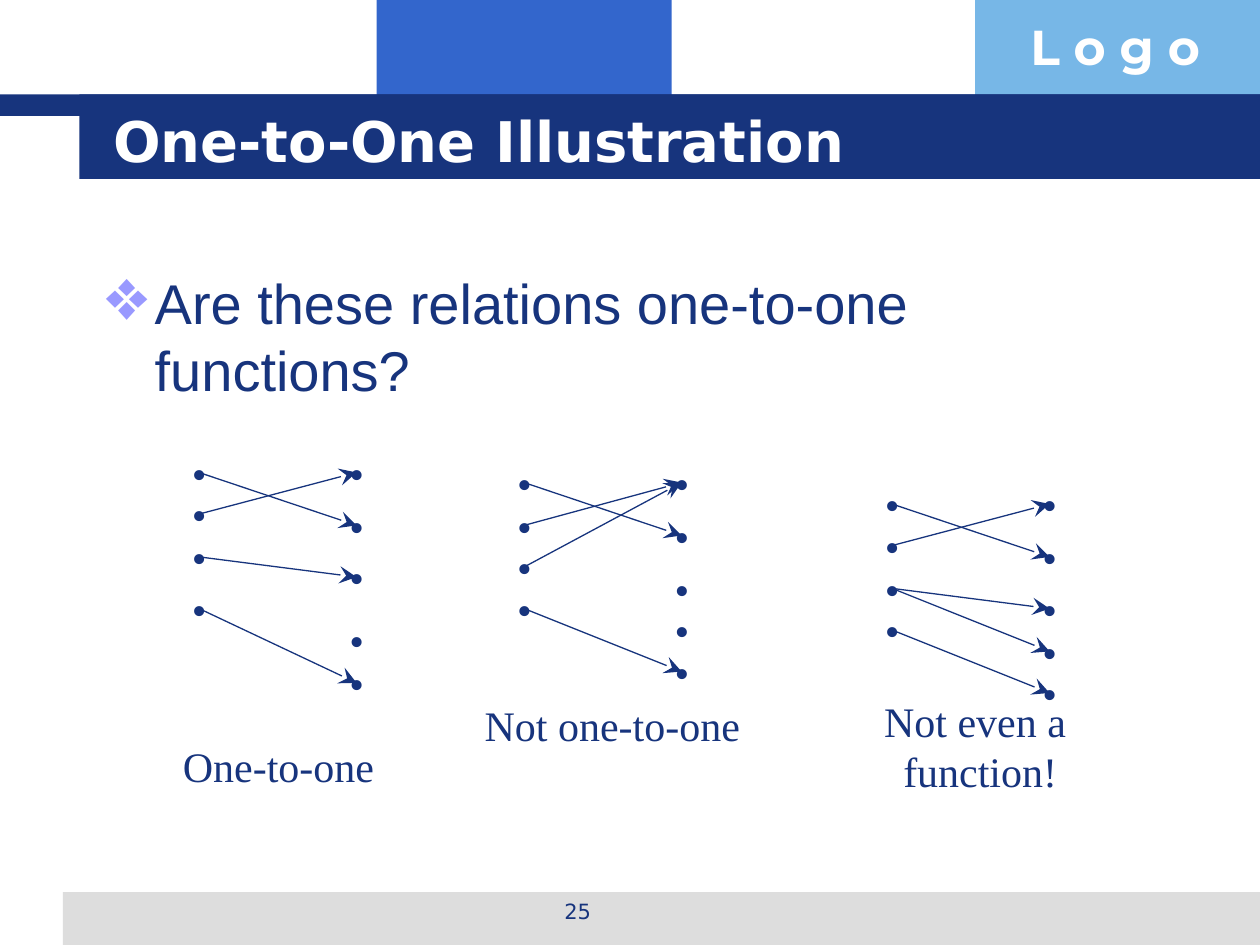
import pptx
import pptx.dml.color
import pptx.enum.shapes
import pptx.enum.text
import pptx.oxml
import pptx.oxml.ns
import pptx.util
from dataclasses import dataclass

Inches = pptx.util.Inches
Align = pptx.enum.text.PP_ALIGN
Anchor = pptx.enum.text.MSO_ANCHOR


@dataclass(frozen=True)
class Theme:
    navy: str = "17347D"
    blue: str = "3366CC"
    sky: str = "77B7E7"
    gray: str = "DDDDDD"
    white: str = "FFFFFF"
    lilac: str = "9999FF"
    heading_font: str = "DejaVu Sans"
    body_font: str = "Arial"
    logo_font: str = "Montserrat"
    label_font: str = "Times New Roman"
    large: int = 32
    logo: int = 28
    label: int = 24
    small: int = 12
    line: float = 0.75


@dataclass(frozen=True)
class Relation:
    x: float  # centre of the domain column
    domain: tuple[float, ...]  # heights of the dot centres
    codomain: tuple[float, ...]
    pairs: tuple[tuple[int, int], ...]  # domain index, codomain index
    caption: str
    caption_area: tuple[float, float, float, float]


THEME = Theme()
COLUMN_GAP = 1.25
DOT_WIDTH, DOT_HEIGHT = 0.31, 0.5

BANDS = [
    (2.99, 0, 2.34, 0.92, THEME.blue),
    (7.74, 0, 2.26, 0.92, THEME.sky),
    (0.5, 7.08, 9.5, 0.42, THEME.gray),
    (0, 0.75, 10, 0.17, THEME.navy),
    (0.63, 0.75, 9.37, 0.67, THEME.navy),
]

RELATIONS = [
    Relation(1.58, (3.75, 4.08, 4.42, 4.83), (3.75, 4.17, 4.58, 5.08, 5.42),
             ((0, 1), (1, 0), (2, 2), (3, 4)),
             "One-to-one", (1.35, 5.83, 1.72, 0.5)),
    Relation(4.16, (3.83, 4.17, 4.5, 4.83), (3.83, 4.25, 4.67, 5, 5.33),
             ((0, 1), (1, 0), (2, 0), (3, 4)),
             "Not one-to-one", (3.71, 5.5, 2.3, 0.5)),
    Relation(7.08, (4, 4.33, 4.67, 5), (4, 4.42, 4.83, 5.17, 5.5),
             ((0, 1), (1, 0), (2, 3), (3, 4), (2, 2)),
             "Not even a \vfunction!", (6.78, 5.47, 2, 0.9)),
]


def color(value: str):
    return pptx.dml.color.RGBColor.from_string(value)


def add_band(page, left: float, top: float, width: float, height: float, fill: str) -> None:
    band = page.shapes.add_shape(pptx.enum.shapes.MSO_SHAPE.RECTANGLE, Inches(left),
                                 Inches(top), Inches(width), Inches(height))
    band.shadow.inherit = False
    band.fill.solid()
    band.fill.fore_color.rgb = color(fill)
    band.line.fill.background()


def add_text(page, text: str, area: tuple, *, font: str, size: int, fill: str = THEME.navy,
             bold: bool = False, align=Align.LEFT, anchor=Anchor.TOP, wrap: bool = True,
             bullet: str = "") -> None:
    box = page.shapes.add_textbox(*map(Inches, area))
    frame = box.text_frame
    frame.word_wrap = wrap
    frame.vertical_anchor = anchor
    if not wrap:
        frame.auto_size = pptx.enum.text.MSO_AUTO_SIZE.SHAPE_TO_FIT_TEXT
    para = frame.paragraphs[0]
    para.text = text
    para.alignment = align
    if bullet:
        add_bullet(para, bullet)
    for span in para.runs:
        span.font.name = font
        span.font.size = pptx.util.Pt(size)
        span.font.bold = bold
        span.font.color.rgb = color(fill)


def add_bullet(para, symbol: str) -> None:
    properties = para._p.get_or_add_pPr()
    indent = Inches(0.38)
    properties.set("marL", str(indent))
    properties.set("indent", str(-indent))
    namespace = pptx.oxml.ns.nsdecls("a")
    for xml in (f'<a:buClr {namespace}><a:srgbClr val="{THEME.lilac}"/></a:buClr>',
                f'<a:buSzPct {namespace} val="130000"/>',
                f'<a:buChar {namespace} char="{symbol}"/>'):
        properties.append(pptx.oxml.parse_xml(xml))


def add_label(page, text: str, area: tuple) -> None:
    add_text(page, text, area, font=THEME.label_font, size=THEME.label,
             align=Align.CENTER, anchor=Anchor.MIDDLE, wrap=False)


def add_arrow(page, start: tuple[float, float], end: tuple[float, float]) -> None:
    arrow = page.shapes.add_connector(pptx.enum.shapes.MSO_CONNECTOR.STRAIGHT,
                                      *map(Inches, start + end))
    arrow.line.color.rgb = color(THEME.navy)
    arrow.line.width = pptx.util.Pt(THEME.line)
    namespace = pptx.oxml.ns.nsdecls("a")
    arrow.line._get_or_add_ln().append(pptx.oxml.parse_xml(
        f'<a:tailEnd {namespace} type="stealth" w="lg" len="lg"/>'))
    arrow._element.spPr.append(pptx.oxml.parse_xml(f"<a:effectLst {namespace}/>"))


def add_relation(page, relation: Relation) -> None:
    target_x = relation.x + COLUMN_GAP
    for x, heights in ((relation.x, relation.domain), (target_x, relation.codomain)):
        for y in heights:
            add_label(page, "•", (x - DOT_WIDTH / 2, y - DOT_HEIGHT / 2,
                                  DOT_WIDTH, DOT_HEIGHT))
    for source, target in relation.pairs:
        add_arrow(page, (relation.x, relation.domain[source]),
                  (target_x, relation.codomain[target]))
    add_label(page, relation.caption, relation.caption_area)


def main() -> None:
    deck = pptx.Presentation()
    deck.slide_width, deck.slide_height = Inches(10), Inches(7.5)
    page = deck.slides.add_slide(deck.slide_layouts[6])

    # Header and footer bands
    for band in BANDS:
        add_band(page, *band)

    # Header, footer and question text
    add_text(page, "L o g o", (8.08, 0.08, 1.93, 0.57), font=THEME.logo_font,
             size=THEME.logo, fill=THEME.white, bold=True)
    add_text(page, "25", (3.42, 7.08, 2.33, 0.35), font=THEME.heading_font,
             size=THEME.small, align=Align.CENTER)
    add_text(page, "One-to-One Illustration", (0.8, 0.8, 8.53, 0.62),
             font=THEME.heading_font, size=THEME.large, fill=THEME.white, bold=True,
             anchor=Anchor.MIDDLE)
    add_text(page, "Are these relations one-to-one functions?", (0.75, 2.08, 8.5, 4.5),
             font=THEME.body_font, size=THEME.large, bullet="❖")

    # Mapping diagrams
    for relation in RELATIONS:
        add_relation(page, relation)

    deck.save("out.pptx")


if __name__ == "__main__":
    main()
